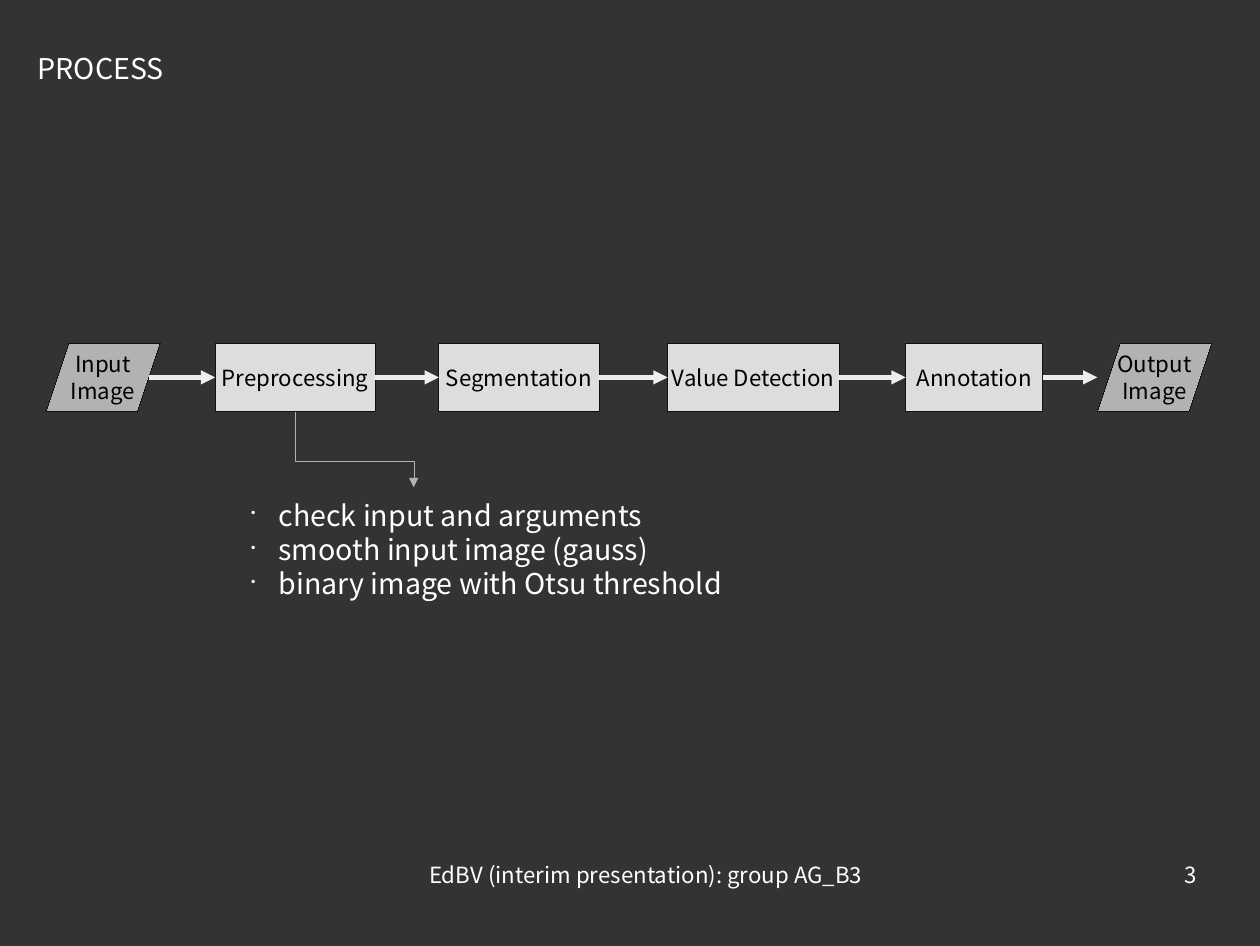
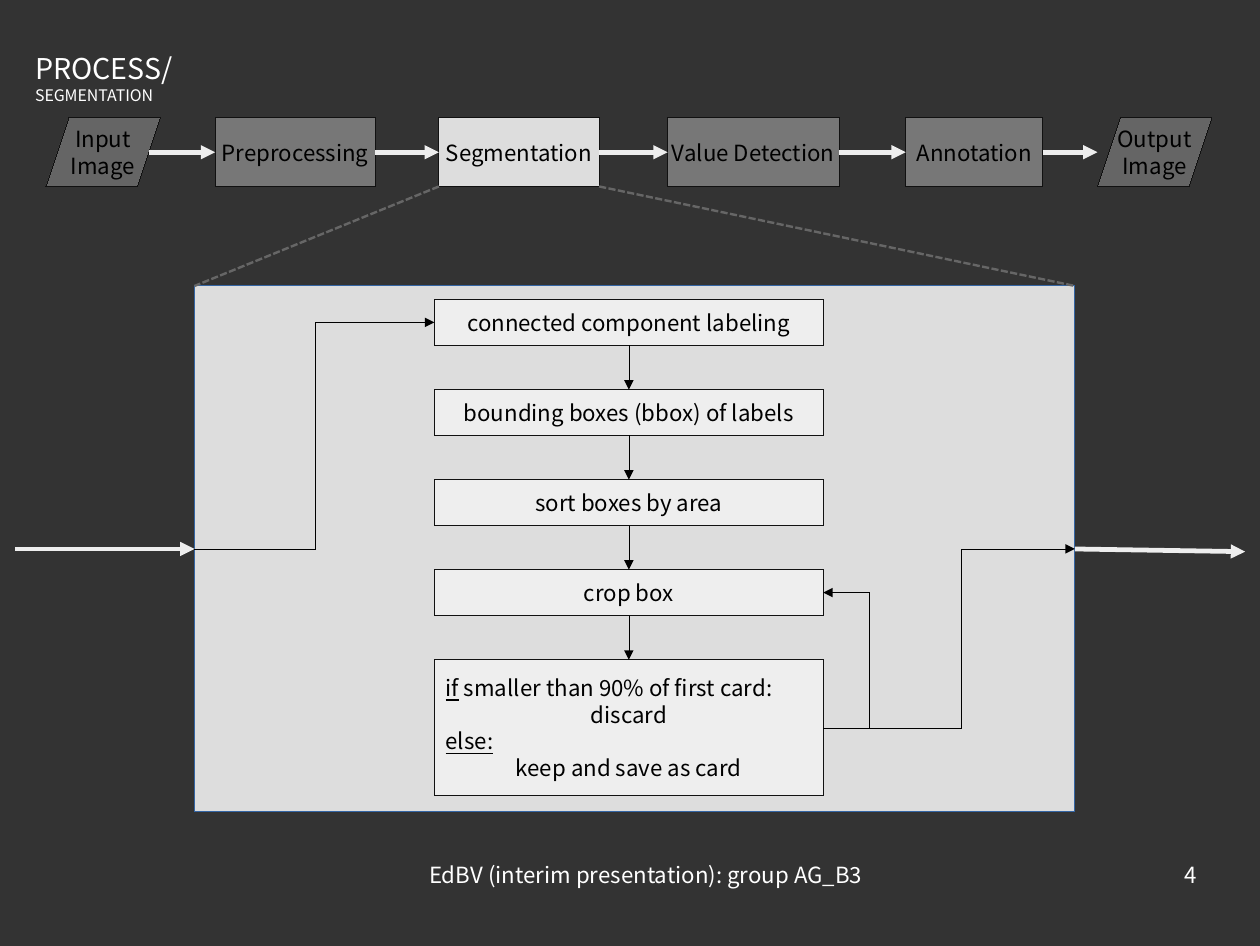
from lxml import etree
from pptx import Presentation
from pptx.dml.color import RGBColor
from pptx.enum import dml, shapes, text
from pptx.oxml.ns import qn
from pptx.util import Cm, Inches, Pt

FONT = "Noto Sans CJK KR"
BACKGROUND = RGBColor(0x33, 0x33, 0x33)
WHITE = RGBColor(0xFF, 0xFF, 0xFF)
BLACK = RGBColor(0x00, 0x00, 0x00)
OUTLINE = RGBColor(0x11, 0x11, 0x11)
DATA_GREY = RGBColor(0xB2, 0xB2, 0xB2)
STAGE_GREY = RGBColor(0xDD, 0xDD, 0xDD)
PALE_GREY = RGBColor(0xEE, 0xEE, 0xEE)
ZOOM_GREY = RGBColor(0x66, 0x66, 0x66)
PANEL_BLUE = RGBColor(0x34, 0x65, 0xA4)

LEFT, CENTER, RIGHT = text.PP_ALIGN.LEFT, text.PP_ALIGN.CENTER, text.PP_ALIGN.RIGHT
PROCESS = shapes.MSO_SHAPE.FLOWCHART_PROCESS
DATA = shapes.MSO_SHAPE.FLOWCHART_DATA
STRAIGHT, ELBOW = shapes.MSO_CONNECTOR.STRAIGHT, shapes.MSO_CONNECTOR.ELBOW


def write(shape, lines, size=14, color=BLACK, align=CENTER, wrap=False,
          anchor=text.MSO_ANCHOR.TOP, inset=(0.25, 0.13), bullet=False):
    """Each line is a string or a dict of text, size, align, underlined."""
    frame = shape.text_frame
    frame.auto_size = text.MSO_AUTO_SIZE.NONE
    frame.word_wrap, frame.vertical_anchor = wrap, anchor
    frame.margin_left = frame.margin_right = Cm(inset[0])
    frame.margin_top = frame.margin_bottom = Cm(inset[1])
    for i, line in enumerate(lines):
        line = line if isinstance(line, dict) else {"text": line}
        paragraph = frame.add_paragraph() if i else frame.paragraphs[0]
        paragraph.alignment = line.get("align", align)
        if bullet:
            props = paragraph._p.get_or_add_pPr()
            props.set("marL", str(Cm(0.61)))
            props.set("indent", str(-Cm(0.61)))
            tint = etree.SubElement(props, qn("a:buClr"))
            etree.SubElement(tint, qn("a:srgbClr"), val=str(color))
            etree.SubElement(props, qn("a:buSzPct"), val="45000")
            etree.SubElement(props, qn("a:buChar"), char="•")
        for part, underline in ((line.get("underlined"), True), (line.get("text"), False)):
            if part:
                run = paragraph.add_run()
                run.text = part
                run.font.name, run.font.size = FONT, Pt(line.get("size", size))
                run.font.color.rgb = color
                run.font.underline = underline


def connect(slide, start, end, color=BLACK, width=0, arrow=True, bend=None, drop=None):
    """bend: x of an elbow's upright part; drop: y of an elbow's level part."""
    (x1, y1), (x2, y2) = start, end
    share = None
    if bend is not None:
        share = (bend - x1) / (x2 - x1)
    if drop is not None:
        # A downward elbow is a sideways one turned about its centre.
        share = (drop - y1) / (y2 - y1)
        mid_x, mid_y, half_w, half_h = (x1 + x2) / 2, (y1 + y2) / 2, (y2 - y1) / 2, (x2 - x1) / 2
        x1, x2, y1, y2 = mid_x + half_w, mid_x - half_w, mid_y - half_h, mid_y + half_h
    line = slide.shapes.add_connector(STRAIGHT if share is None else ELBOW,
                                      Cm(x1), Cm(y1), Cm(x2), Cm(y2))
    props = line._element.spPr
    if drop is not None:
        props.find(qn("a:xfrm")).set("rot", "16200000")
    if share is not None:
        guides = props.find(qn("a:prstGeom")).get_or_add_avLst()
        etree.SubElement(guides, qn("a:gd"), name="adj1", fmla=f"val {round(share * 100000)}")
    line.line.color.rgb = color
    stroke = props.find(qn("a:ln"))
    stroke.set("w", str(Pt(width)))  # A zero width must be written out to give a hairline.
    if arrow:
        etree.SubElement(stroke, qn("a:tailEnd"), type="triangle")
    etree.SubElement(props, qn("a:effectLst"))
    return line


# Deck, background and title place
deck = Presentation()
deck.slide_width, deck.slide_height = Inches(11.02), Inches(8.27)
backdrop = deck.slide_master.background.fill
backdrop.solid()
backdrop.fore_color.rgb = BACKGROUND
title_only = deck.slide_layouts[5]

# Pipeline: kind, label lines, left, width
STAGES = [
    (DATA, ["Input", "Image"], 1.02, 2.54),
    (PROCESS, ["Preprocessing"], 4.78, 3.56),
    (PROCESS, ["Segmentation"], 9.75, 3.56),
    (PROCESS, ["Value Detection"], 14.83, 3.81),
    (PROCESS, ["Annotation"], 20.12, 3.05),
    (DATA, ["Output", "Image"], 24.38, 2.54),
]
STAGE_HEIGHT = 1.52
SLANT = 0.25

# Segmentation panel and its steps
PANEL_LEFT, PANEL_TOP, PANEL_WIDTH, PANEL_HEIGHT = 4.32, 6.35, 19.56, 11.68
PANEL_RIGHT, PANEL_MIDDLE = PANEL_LEFT + PANEL_WIDTH, PANEL_TOP + PANEL_HEIGHT / 2
STEP_LEFT, STEP_WIDTH, STEP_TOP, STEP_PITCH, STEP_HEIGHT = 9.65, 8.64, 6.65, 2, 1.02
STEP_RIGHT, STEP_CENTER = STEP_LEFT + STEP_WIDTH, STEP_LEFT + STEP_WIDTH / 2
DECISION_HEIGHT = 3.02
STEPS = [
    ["connected component labeling"],
    ["bounding boxes (bbox) of labels"],
    ["sort boxes by area"],
    ["crop box"],
    [{"underlined": "if", "text": " smaller than 90% of first card:", "align": LEFT},
     "discard",
     {"underlined": "else:", "align": LEFT},
     "keep and save as card"],
]

# What differs: number, title lines, title left, pipeline top, highlighted stage
PAGES = [
    ("3", ["PROCESS"], 0.59, 7.62, None),
    ("4", ["PROCESS/", {"text": "SEGMENTATION", "size": 10}], 0.53, 2.62, 2),
]
slides = []
for number, heading, heading_left, pipeline_top, highlight in PAGES:
    slide = deck.slides.add_slide(title_only)
    slides.append(slide)

    # Title
    title = slide.shapes.title
    title.left, title.top, title.width, title.height = Cm(heading_left), Cm(1), Cm(6.5), Cm(1.5)
    write(title, heading, size=18, color=WHITE, align=LEFT, wrap=True)

    # Boxes: kind, label lines, left, top, width, height, fill, outline, faded
    boxes = []
    if highlight is not None:
        boxes.append((PROCESS, [], PANEL_LEFT, PANEL_TOP, PANEL_WIDTH, PANEL_HEIGHT,
                      STAGE_GREY, PANEL_BLUE, False))
        for i, label in enumerate(STEPS):
            height = DECISION_HEIGHT if i == len(STEPS) - 1 else STEP_HEIGHT
            boxes.append((PROCESS, label, STEP_LEFT, STEP_TOP + i * STEP_PITCH, STEP_WIDTH,
                          height, PALE_GREY, OUTLINE, False))
    for i, (kind, label, left, width) in enumerate(STAGES):
        boxes.append((kind, label, left, pipeline_top, width, STAGE_HEIGHT,
                      DATA_GREY if kind == DATA else STAGE_GREY, OUTLINE,
                      highlight not in (None, i)))
    for kind, label, left, top, width, height, fill, outline, faded in boxes:
        box = slide.shapes.add_shape(kind, Cm(left), Cm(top), Cm(width), Cm(height))
        box.shadow.inherit = False
        box.fill.solid()
        box.fill.fore_color.rgb = fill
        props = box._element.spPr
        if faded:
            tint = props.find(qn("a:solidFill")).find(qn("a:srgbClr"))
            etree.SubElement(tint, qn("a:alpha"), val="40000")
        box.line.color.rgb = outline
        props.find(qn("a:ln")).set("w", "0")
        write(box, label, wrap=len(label) > 2, anchor=text.MSO_ANCHOR.MIDDLE)

    # Arrows between the stages
    arrow_y = pipeline_top + STAGE_HEIGHT / 2
    for (kind, _, left, width), (_, _, next_left, _) in zip(STAGES, STAGES[1:]):
        right = left + width - (SLANT if kind == DATA else 0)
        connect(slide, (right, arrow_y), (next_left, arrow_y), PALE_GREY, 3)

    # Footer and slide number
    for label, left, width, align in (
            ("EdBV (interim presentation): group AG_B3", 7.11, 14.48, CENTER),
            (number, 23.88, 2.72, RIGHT)):
        footer = slide.shapes.add_textbox(Cm(left), Cm(19.13), Cm(width), Cm(1.45))
        write(footer, [label], color=WHITE, align=align, wrap=True, inset=(0, 0))

overview, segmentation = slides

# Overview: preprocessing details
connect(overview, (6.56, 9.14), (9.19, 10.82), DATA_GREY, drop=10.24)
details = overview.shapes.add_textbox(Cm(5.33), Cm(10.92), Cm(12.7), Cm(3.71))
write(details, ["check input and arguments", "smooth input image (gauss)",
                "binary image with Otsu threshold"],
      size=18, color=WHITE, align=LEFT, wrap=True, bullet=True)

# Segmentation: flow into and out of the panel
connect(segmentation, (0.33, PANEL_MIDDLE), (PANEL_LEFT, PANEL_MIDDLE), PALE_GREY, 3)
connect(segmentation, (PANEL_RIGHT, PANEL_MIDDLE), (27.66, 12.25), PALE_GREY, 3)

# Segmentation: flow between the steps
for i in range(len(STEPS) - 1):
    step_top = STEP_TOP + i * STEP_PITCH
    connect(segmentation, (STEP_CENTER, step_top + STEP_HEIGHT),
            (STEP_CENTER, step_top + STEP_PITCH))
first_y = STEP_TOP + STEP_HEIGHT / 2
crop_y = first_y + 3 * STEP_PITCH
decision_y = STEP_TOP + 4 * STEP_PITCH + DECISION_HEIGHT / 2
connect(segmentation, (PANEL_LEFT, PANEL_MIDDLE), (STEP_LEFT, first_y), bend=6.99)
connect(segmentation, (STEP_RIGHT + 0.01, decision_y), (STEP_RIGHT, crop_y), bend=19.3)
connect(segmentation, (STEP_RIGHT, decision_y), (PANEL_RIGHT, PANEL_MIDDLE), bend=21.34)

# Segmentation: dashed zoom lines from the stage to the panel
_, _, stage_left, stage_width = STAGES[2]
for stage_x, panel_x in ((stage_left, PANEL_LEFT), (stage_left + stage_width, PANEL_RIGHT)):
    zoom = connect(segmentation, (stage_x, 2.62 + STAGE_HEIGHT), (panel_x, PANEL_TOP),
                   ZOOM_GREY, 1.5, arrow=False)
    zoom.line.dash_style = dml.MSO_LINE.SQUARE_DOT

deck.save("out.pptx")
